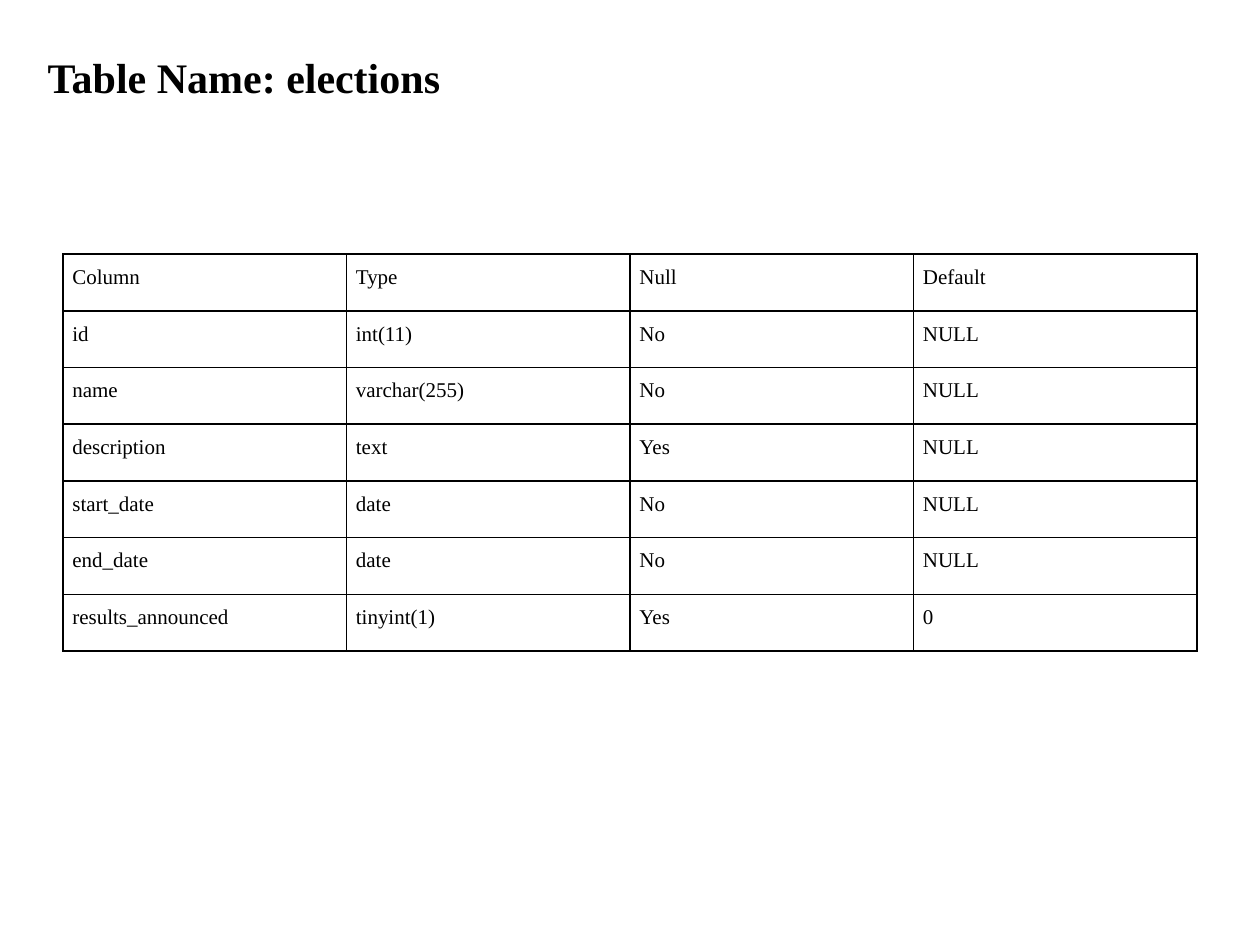
from dataclasses import dataclass

from lxml.etree import SubElement
from pptx import Presentation
from pptx.dml.color import RGBColor
from pptx.enum.text import MSO_ANCHOR, MSO_AUTO_SIZE, PP_ALIGN
from pptx.oxml.ns import qn
from pptx.util import Pt


@dataclass(frozen=True)
class Theme:
    face: str = "Times New Roman"
    ink: str = "000000"
    head: int = 24
    body: int = 12
    rule: int = 1


THEME = Theme()
ROWS = [
    ("Column", "Type", "Null", "Default"),
    ("id", "int(11)", "No", "NULL"),
    ("name", "varchar(255)", "No", "NULL"),
    ("description", "text", "Yes", "NULL"),
    ("start_date", "date", "No", "NULL"),
    ("end_date", "date", "No", "NULL"),
    ("results_announced", "tinyint(1)", "Yes", "0"),
]


def style(para, size, bold=False):
    for run in para.runs:
        font = run.font
        font.name, font.size, font.bold = THEME.face, Pt(size), bold
        font.color.rgb = RGBColor.from_string(THEME.ink)


def set_title(shape, text, box):
    shape.left, shape.top, shape.width, shape.height = map(Pt, box)
    frame = shape.text_frame
    frame.text = text
    frame.word_wrap = False
    frame.auto_size = MSO_AUTO_SIZE.NONE
    frame.vertical_anchor = MSO_ANCHOR.TOP
    frame.margin_top = Pt(6.5)
    para = frame.paragraphs[0]
    para.alignment = PP_ALIGN.LEFT
    style(para, THEME.head, bold=True)


def rule_cell(cell):
    """Draw a line on all four sides of the cell."""
    props = cell._tc.get_or_add_tcPr()
    for spot, side in enumerate(("lnL", "lnR", "lnT", "lnB")):
        line = SubElement(props, qn(f"a:{side}"), w=str(Pt(THEME.rule)))
        fill = SubElement(line, qn("a:solidFill"))
        SubElement(fill, qn("a:srgbClr"), val=THEME.ink)
        props.insert(spot, line)


def fill_cell(cell, text):
    cell.text_frame.text = text
    cell.margin_left = cell.margin_right = Pt(5.4)
    cell.margin_top = cell.margin_bottom = Pt(0)
    cell.fill.background()
    rule_cell(cell)
    para = cell.text_frame.paragraphs[0]
    para.alignment = PP_ALIGN.JUSTIFY
    para.line_spacing = 1.5
    style(para, THEME.body)


def add_grid(slide, rows, box):
    left, top, width, height = box
    count = len(rows[0])
    frame = slide.shapes.add_table(len(rows), count, *map(Pt, box))
    table = frame.table
    table.first_row = table.horz_banding = False
    for col in table.columns:
        col.width = Pt(width / count)
    for row, texts in zip(table.rows, rows):
        row.height = Pt(height / len(rows))
        for cell, text in zip(row.cells, texts):
            fill_cell(cell, text)


def main():
    deck = Presentation()
    deck.slide_width, deck.slide_height = Pt(720), Pt(540)
    slide = deck.slides.add_slide(deck.slide_layouts[5])
    set_title(slide.shapes.title, "Table Name: elections", (20, 23, 241, 65.5))
    add_grid(slide, ROWS, (36, 145.2, 648, 226.8))
    deck.save("out.pptx")


if __name__ == "__main__":
    main()
